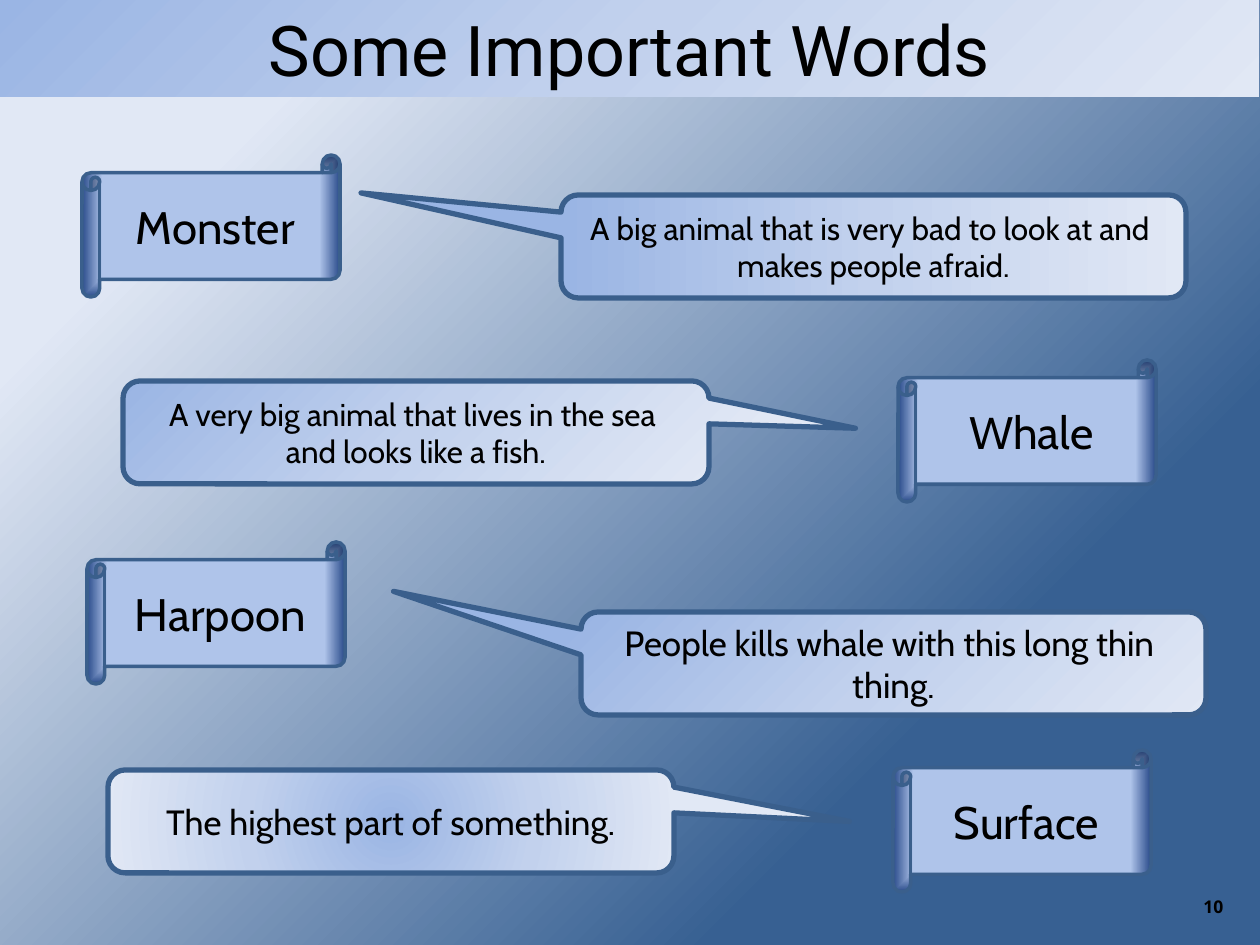
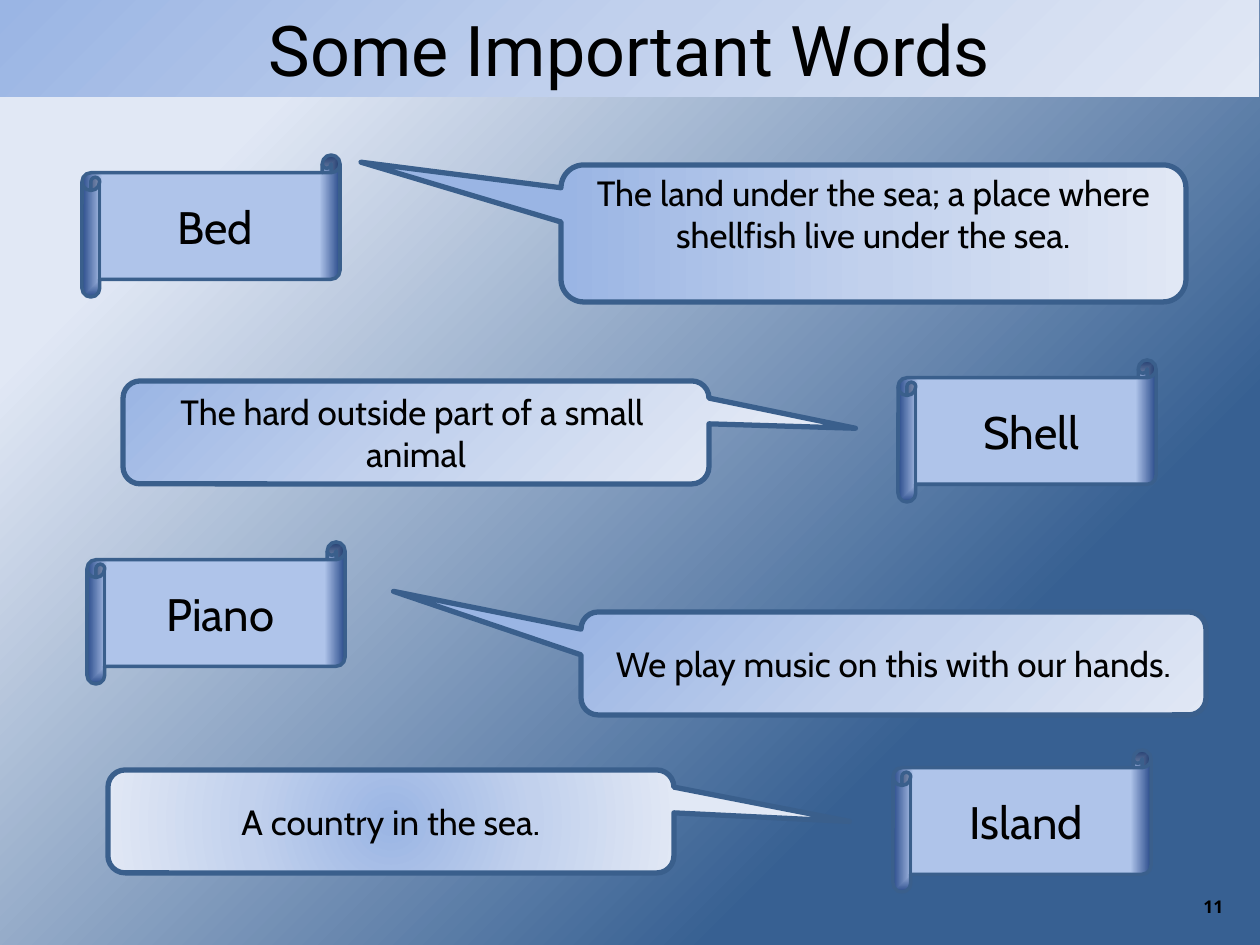
import pptx
import pptx.util
import pptx.oxml
import pptx.oxml.ns
import pptx.dml.color
import pptx.enum.shapes
import pptx.enum.text
from dataclasses import dataclass

TITLE = "Some Important Words"
PAGES = [
    {
        "number": "10",
        "words": ["Monster", "Whale", "Harpoon", "Surface"],
        "hints": [
            (["A big animal that is very bad to look at and ", "makes people afraid."], 18),
            (["A very big animal that lives in the sea ", "and looks like a fish."], 18),
            (["People kills whale with this long thin ", "thing."], 20),
            (["The highest part of something."], 20),
        ],
        "tall": False,
    },
    {
        "number": "11",
        "words": ["Bed", "Shell", "Piano", "Island"],
        "hints": [
            (["The land under the sea; a place where shellfish live under the sea."], 20),
            (["The hard outside part of a small ", "animal"], 20),
            (["We play music on this with our hands."], 20),
            (["A country in the sea."], 20),
        ],
        "tall": True,
    },
]


@dataclass(frozen=True)
class Theme:
    ink: str = "000000"
    edge: str = "3A5F8C"
    back: tuple = ((25, "376092"), (83, "E1E8F5"))
    pale: tuple = ((0, "9AB5E4"), (50, "C2D1ED"), (100, "E1E8F5"))
    roll: tuple = ((71, "AFC4EA"), (100, "2A4B8B"), (100, "E1E8F5"))
    head_font: str = "Roboto"
    body_font: str = "Cabin"
    page_font: str = "Open Sans"
    head_size: int = 40
    word_size: int = 26
    page_size: int = 10
    roll_line: int = 2
    hint_line: int = 3


THEME = Theme()
KIND = pptx.enum.shapes.MSO_SHAPE
ANCHOR = pptx.enum.text.MSO_ANCHOR
CENTER = pptx.enum.text.PP_ALIGN.CENTER
SCALE = 914400 / 126

FLOW = '<a:lin ang="{}" scaled="0"/>'
FOCUS = '<a:path path="{}"><a:fillToRect l="{}" t="{}" r="{}" b="{}"/></a:path>'
ACROSS = FLOW.format(0)
SLANT = FLOW.format(225 * 60000)
CORNER = FOCUS.format("circle", 0, 0, 100000, 100000)
MIDDLE = FOCUS.format("circle", *[50000] * 4)
INWARD = FOCUS.format("shape", *[50000] * 4)

ROLL_SIZE = (258, 142)
ROLLS = [(82, 155), (898, 360), (87, 542), (893, 750)]
HINTS = [
    ((561, 195, 625, 103), (-0.82, -0.52), False, ACROSS),
    ((123, 381, 586, 103), (-0.75, -0.04), True, CORNER),
    ((581, 612, 625, 103), (-0.8, -0.7), False, CORNER),
    ((108, 770, 566, 103), (-0.81, 0), True, MIDDLE),
]
TALL_BOX = (561, 165, 625, 137)
BAND = (0, 0, 1259, 97)
PAGE_BOX = (1191, 890, 69, 34)


def place(box):
    return [round(side * SCALE) for side in box]


def color(code):
    return pptx.dml.color.RGBColor.from_string(code)


def blend(fill, holder, stops, course):
    fill.solid()
    marks = "".join(
        f'<a:gs pos="{pos * 1000}"><a:srgbClr val="{code}"/></a:gs>' for pos, code in stops
    )
    space = pptx.oxml.ns.nsdecls("a")
    grad = f'<a:gradFill {space} rotWithShape="1"><a:gsLst>{marks}</a:gsLst>{course}</a:gradFill>'
    old = holder.find(pptx.oxml.ns.qn("a:solidFill"))
    holder.replace(old, pptx.oxml.parse_xml(grad))


def write(shape, lines, font, size, anchor, align=CENTER, bold=False):
    frame = shape.text_frame
    frame.text = "\n".join(lines)
    frame.word_wrap = True
    frame.vertical_anchor = anchor
    for para in frame.paragraphs:
        para.alignment = align
        for run in para.runs:
            run.font.name = font
            run.font.size = pptx.util.Pt(size)
            run.font.bold = bold
            run.font.color.rgb = color(THEME.ink)


def add_shape(slide, kind, box, stops, course, width):
    shape = slide.shapes.add_shape(kind, *place(box))
    shape.shadow.inherit = False
    blend(shape.fill, shape.element.spPr, stops, course)
    shape.line.color.rgb = color(THEME.edge)
    shape.line.width = pptx.util.Pt(width)
    return shape


def add_title(slide):
    title = slide.shapes.title
    title.left, title.top, title.width, title.height = place(BAND)
    blend(title.fill, title.element.spPr, THEME.pale, CORNER)
    write(title, [TITLE], THEME.head_font, THEME.head_size, ANCHOR.TOP)
    title.text_frame.auto_size = pptx.enum.text.MSO_AUTO_SIZE.NONE


def add_word(slide, word, spot):
    roll = add_shape(slide, KIND.HORIZONTAL_SCROLL, spot + ROLL_SIZE,
                     THEME.roll, INWARD, THEME.roll_line)
    write(roll, [word], THEME.body_font, THEME.word_size, ANCHOR.MIDDLE)


def add_hint(slide, hint, look, tall):
    box, tip, flip, course = look
    lines, size = hint
    shape = add_shape(slide, KIND.ROUNDED_RECTANGULAR_CALLOUT, TALL_BOX if tall else box,
                      THEME.pale, course, THEME.hint_line)
    shape.adjustments[0], shape.adjustments[1] = tip
    if flip:
        shape.element.spPr.xfrm.set("flipH", "1")
    write(shape, lines, THEME.body_font, size, ANCHOR.TOP if tall else ANCHOR.MIDDLE)
    if tall:
        shape.text_frame.margin_top = 0


def add_page(deck, page):
    slide = deck.slides.add_slide(deck.slide_layouts[5])
    fill = slide.background.fill
    fill.solid()
    blend(fill, slide.element.find(".//" + pptx.oxml.ns.qn("p:bgPr")), THEME.back, SLANT)
    add_title(slide)
    for word, spot in zip(page["words"], ROLLS):
        add_word(slide, word, spot)
    for rank, (hint, look) in enumerate(zip(page["hints"], HINTS)):
        add_hint(slide, hint, look, page["tall"] and rank == 0)
    label = slide.shapes.add_textbox(*place(PAGE_BOX))
    write(label, [page["number"]], THEME.page_font, THEME.page_size, ANCHOR.TOP,
          pptx.enum.text.PP_ALIGN.LEFT, True)


def main():
    deck = pptx.Presentation()
    deck.slide_width, deck.slide_height = place((1260, 945))
    for page in PAGES:
        add_page(deck, page)
    deck.save("out.pptx")


if __name__ == "__main__":
    main()
